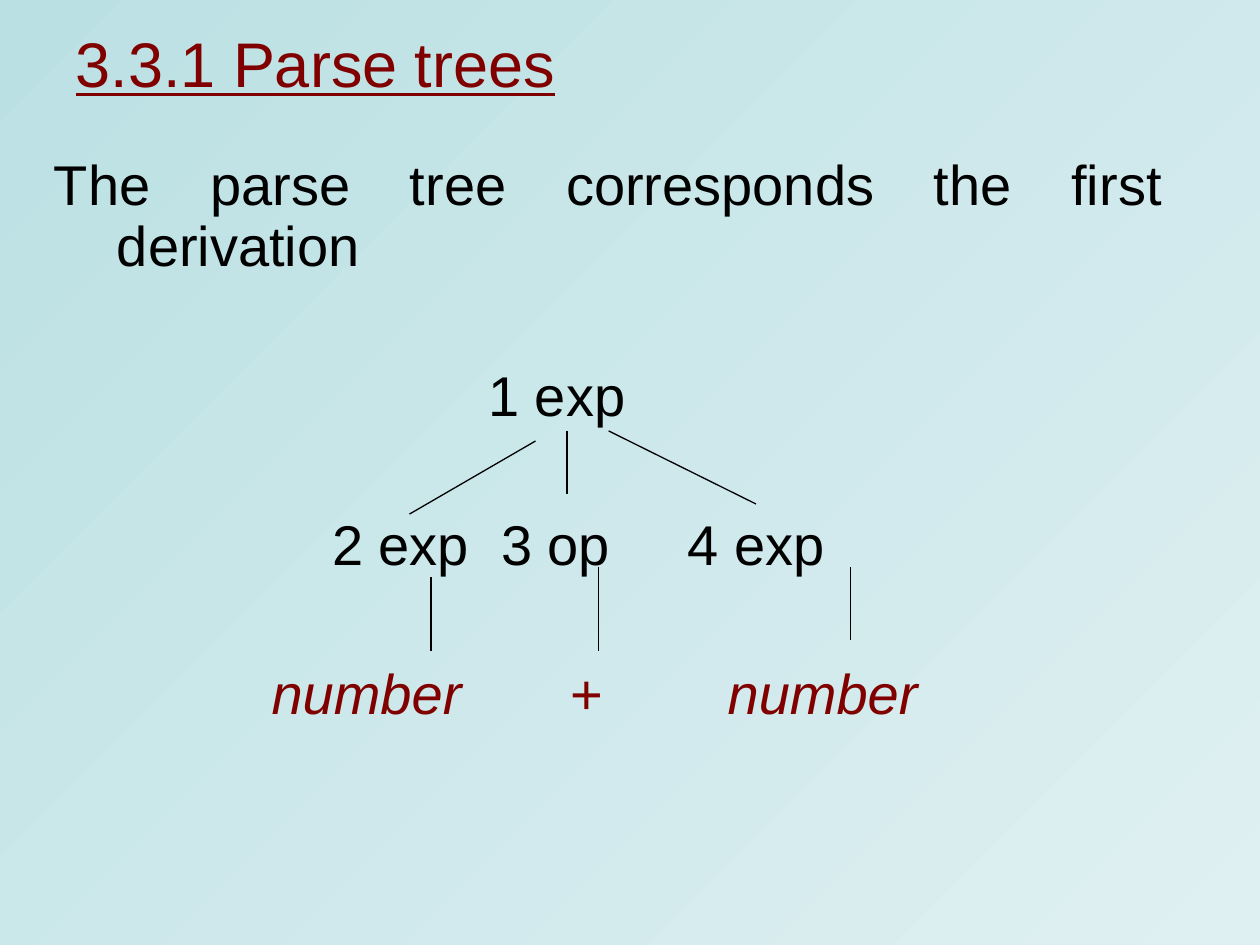
from lxml.etree import SubElement as Sub
from pptx import Presentation
from pptx.dml.color import RGBColor as RGB
from pptx.enum.shapes import MSO_CONNECTOR as Conn
from pptx.enum.text import MSO_ANCHOR as Anchor, PP_ALIGN as Align
from pptx.oxml.ns import qn
from pptx.util import Inches as In, Pt

HUES = {"text": "000000", "accent": "800000", "dark": "BBE0E3", "pale": "DFF0F2"}
FONT = "Arial"
# Tree rows: centre heights, evenly spaced
ROW_TOP, ROW_GAP = 3.11, 1.185
NODE_W, NODE_H = 1.8, 0.6
# Text, centre, row, colour, italic
NODES = [
    ("1 exp", 4.42, 0, "text", False),
    ("2 exp", 3.18, 1, "text", False),
    ("3 op", 4.41, 1, "text", False),
    ("4 exp", 6, 1, "text", False),
    ("number", 2.91, 2, "accent", True),
    ("+", 4.66, 2, "accent", False),
    ("number", 6.53, 2, "accent", True),
]
# Branch ends: x1, y1, x2, y2
EDGES = [
    (4.5, 3.42, 4.5, 3.92),
    (4.25, 3.5, 3.25, 4.08),
    (4.83, 3.42, 6, 4),
    (3.42, 4.58, 3.42, 5.17),
    (4.75, 4.5, 4.75, 5.17),
    (6.75, 4.5, 6.75, 5.08),
]


def hue(name):
    return RGB.from_string(HUES[name])


def style(para, size, color, align):
    para.alignment = align
    font = para.runs[0].font
    font.name, font.size = FONT, Pt(size)
    font.color.rgb = hue(color)
    return font


def paint(slide):
    fill = slide.background.fill
    fill.gradient()
    fill.gradient_angle = 315
    for stop, name, pos in zip(fill.gradient_stops, ("dark", "pale"), (0, 1)):
        stop.color.rgb = hue(name)
        stop.position = pos


def add_title(slide, text):
    title = slide.shapes.title
    title.left, title.top, title.width, title.height = map(In, (0.5, 0.17, 9.33, 0.65))
    frame = title.text_frame
    frame.text = text
    frame.vertical_anchor = Anchor.MIDDLE
    style(frame.paragraphs[0], 36, "accent", Align.LEFT).underline = True


def add_text(slide, text, box, color, align):
    frame = slide.shapes.add_textbox(*map(In, box)).text_frame
    frame.word_wrap = True
    frame.text = text
    para = frame.paragraphs[0]
    return para, style(para, 32, color, align)


def add_body(slide, text):
    para, _ = add_text(slide, text, (0.33, 1.2, 9, 1.1), "text", Align.JUSTIFY)
    para.line_spacing = 0.9
    # Hanging indent
    props = para._p.get_or_add_pPr()
    props.set("marL", str(In(0.5)))
    props.set("indent", str(-In(0.5)))


def add_node(slide, text, mid, row, color, italic):
    top = ROW_TOP + row * ROW_GAP - NODE_H / 2
    box = (mid - NODE_W / 2, top, NODE_W, NODE_H)
    _, font = add_text(slide, text, box, color, Align.CENTER)
    font.italic = italic


def add_edge(slide, ends):
    line = slide.shapes.add_connector(Conn.STRAIGHT, *map(In, ends))
    line.line.color.rgb = hue("text")
    line.line.width = Pt(0.75)
    Sub(line._element.spPr, qn("a:effectLst"))


def main():
    prs = Presentation()
    prs.slide_width, prs.slide_height = In(10), In(7.5)
    slide = prs.slides.add_slide(prs.slide_layouts[5])
    paint(slide)
    add_title(slide, "3.3.1 Parse trees")
    add_body(slide, "The parse tree corresponds the first derivation")
    # Parse tree
    for node in NODES:
        add_node(slide, *node)
    for ends in EDGES:
        add_edge(slide, ends)
    prs.save("out.pptx")


if __name__ == "__main__":
    main()
